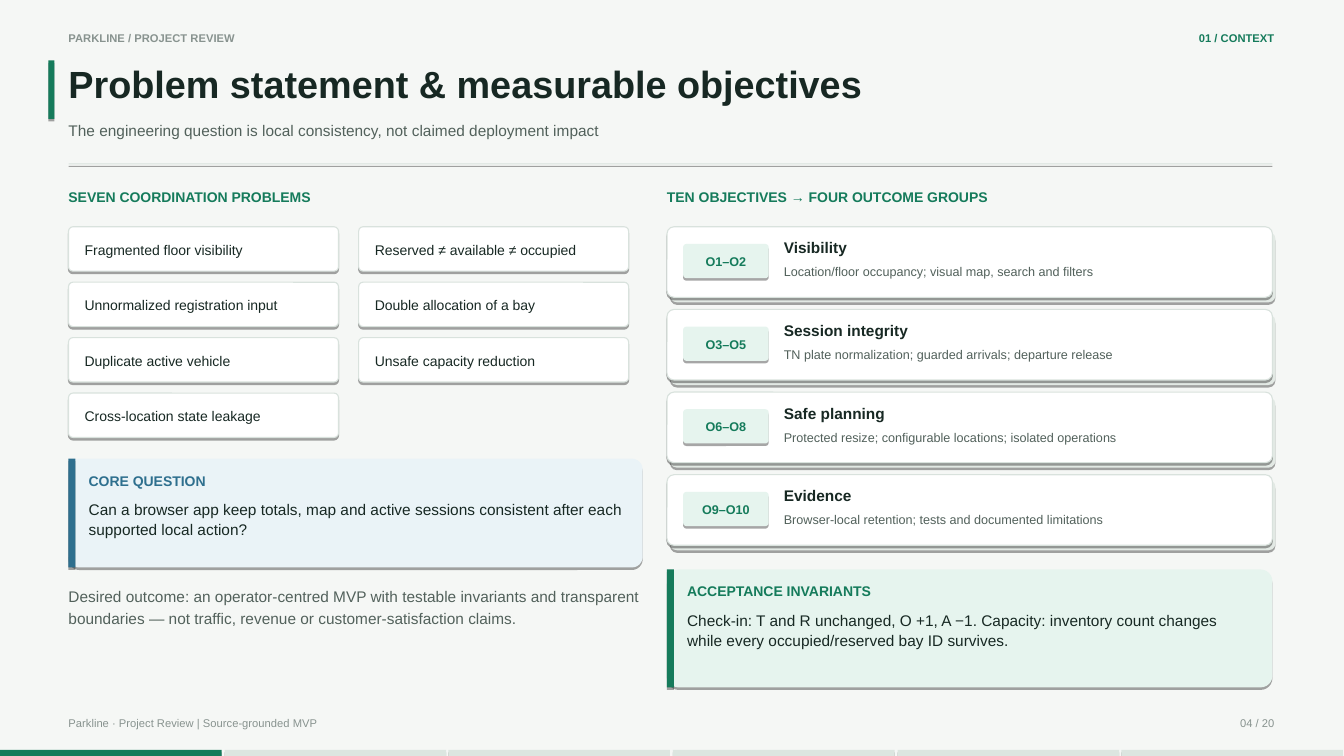
from lxml.etree import SubElement
from pptx import Presentation
from pptx.dml.color import RGBColor
from pptx.enum.shapes import MSO_SHAPE as SHAPE
from pptx.enum.text import MSO_ANCHOR as ANCHOR, PP_ALIGN as ALIGN
from pptx.oxml.ns import qn
from pptx.util import Pt

PX = 9144  # 100 px to the inch
W, H = 1334, 750
LEFT, RIGHT = 68, 662
GREEN, BLUE, INK, GREY, PALE = "157B5B", "2E6F8E", "172823", "52615B", "88938F"
MINT, SKY, WHITE, BORDER = "E6F4EE", "EAF3F7", "FFFFFF", "D9E2DD"
SEGMENT, UNDERLAY, BACKGROUND = "DCE6E0", "E2E9E4", "F5F7F5"

PROBLEMS = [
    "Fragmented floor visibility", "Reserved ≠ available ≠ occupied",
    "Unnormalized registration input", "Double allocation of a bay",
    "Duplicate active vehicle", "Unsafe capacity reduction",
    "Cross-location state leakage",
]
OBJECTIVES = [
    ("O1–O2", "Visibility", "Location/floor occupancy; visual map, search and filters"),
    ("O3–O5", "Session integrity", "TN plate normalization; guarded arrivals; departure release"),
    ("O6–O8", "Safe planning", "Protected resize; configurable locations; isolated operations"),
    ("O9–O10", "Evidence", "Browser-local retention; tests and documented limitations"),
]


def rgb(value):
    return RGBColor.from_string(value)


def emu(*box):
    return [v * PX for v in box]


def add_drop_shadow(sp):
    sp.shadow.inherit = False
    effects = sp._element.spPr.find(qn("a:effectLst"))
    shadow = SubElement(effects, qn("a:outerShdw"), blurRad="0",
                        dist=str(Pt(1.8)), dir="5400000", rotWithShape="0")
    color = SubElement(shadow, qn("a:srgbClr"), val="000000")
    SubElement(color, qn("a:alpha"), val="35000")


def add_panel(s, box, fill, line=None, rounded=False):
    kind = SHAPE.ROUNDED_RECTANGLE if rounded else SHAPE.RECTANGLE
    sp = s.shapes.add_shape(kind, *emu(*box))
    if rounded:
        sp.adjustments[0] = 0.1
    sp.fill.solid()
    sp.fill.fore_color.rgb = rgb(fill)
    if line:
        sp.line.color.rgb = rgb(line)
        sp.line.width = Pt(0.79)
    else:
        sp.line.fill.background()
    add_drop_shadow(sp)


def add_text(s, box, text, size, color, bold=False, align=ALIGN.LEFT,
             anchor=ANCHOR.TOP, spacing=1.08):
    tf = s.shapes.add_textbox(*emu(*box)).text_frame
    tf.word_wrap = True
    tf.vertical_anchor = anchor
    tf.margin_left = tf.margin_right = tf.margin_top = tf.margin_bottom = 0
    p = tf.paragraphs[0]
    p.text = text
    p.alignment = align
    p.line_spacing = spacing
    p.font.name = "Arial"
    p.font.size = Pt(size)
    p.font.bold = bold
    p.font.color.rgb = rgb(color)


def header(s, x, y, w):
    add_text(s, (x, y, 400, 20), "PARKLINE / PROJECT REVIEW", 8, PALE, True)
    add_text(s, (x + w - 323, y, 325, 20), "01 / CONTEXT", 8, GREEN, True, ALIGN.RIGHT)
    add_panel(s, (x - 20, y + 30, 6, 58), GREEN)
    add_text(s, (x, y + 27, w - 5, 62), "Problem statement & measurable objectives",
             27, INK, True)
    add_text(s, (x, y + 89, w - 5, 32),
             "The engineering question is local consistency, not claimed deployment impact",
             11, GREY)
    add_panel(s, (x, y + 132, w, 1), BORDER)


def footer(s, x, y, w):
    add_text(s, (x, y, 680, 20), "Parkline · Project Review | Source-grounded MVP", 8, PALE)
    add_text(s, (x + w - 138, y, 140, 20), "04 / 20", 8, PALE, align=ALIGN.RIGHT)


def progress_bar(s, x, y, w, h, steps=6, current=0, gap=2):
    pitch = (w + gap) / steps
    for i in range(steps):
        add_panel(s, (x + round(i * pitch), y, int(pitch) - gap, h),
                  GREEN if i == current else SEGMENT)


def problem_grid(s, x, y, w, h, columns=2, gap_x=20, gap_y=11):
    for i, problem in enumerate(PROBLEMS):
        row, col = divmod(i, columns)
        left, top = x + col * (w + gap_x), y + row * (h + gap_y)
        add_panel(s, (left, top, w, h), WHITE, BORDER, True)
        add_text(s, (left + 16, top, w - 32, h), problem, 10, INK, anchor=ANCHOR.MIDDLE)


def objective_card(s, x, y, w, h, code, title, detail):
    add_panel(s, (x + 3, y + 5, w, h), UNDERLAY, rounded=True)
    add_panel(s, (x, y, w, h), WHITE, BORDER, True)
    add_panel(s, (x + 16, y + 17, 85, 34), MINT, rounded=True)
    add_text(s, (x + 24, y + 17, 69, 34), code, 9, GREEN, True, ALIGN.CENTER, ANCHOR.MIDDLE)
    add_text(s, (x + 116, y + 10, 155, 28), title, 11, INK, True)
    add_text(s, (x + 116, y + 36, 455, 26), detail, 9, GREY)


def callout(s, x, y, w, h, title, body, accent, fill):
    add_panel(s, (x, y, w, h), fill, rounded=True)
    add_panel(s, (x, y, 7, h), accent)
    add_text(s, (x + 20, y + 12, w - 35, 25), title, 10, accent, True)
    add_text(s, (x + 20, y + 40, w - 35, h - 50), body, 11, INK)


def problem_column(s, x, y, w):
    add_text(s, (x, y, w, 30), "SEVEN COORDINATION PROBLEMS", 10, GREEN, True)
    problem_grid(s, x, y + 39, 268, 44)
    callout(s, x, y + 269, w, 108, "CORE QUESTION",
            "Can a browser app keep totals, map and active sessions consistent "
            "after each supported local action?", BLUE, SKY)
    add_text(s, (x, y + 394, w, 90),
             "Desired outcome: an operator-centred MVP with testable invariants and "
             "transparent boundaries — not traffic, revenue or customer-satisfaction claims.",
             11, GREY, spacing=1.16)


def objective_column(s, x, y, w):
    add_text(s, (x, y, w, 30), "TEN OBJECTIVES → FOUR OUTCOME GROUPS", 10, GREEN, True)
    for i, objective in enumerate(OBJECTIVES):
        objective_card(s, x, y + 39 + i * 82, w, 70, *objective)
    callout(s, x, y + 379, w, 117, "ACCEPTANCE INVARIANTS",
            "Check-in: T and R unchanged, O +1, A −1. Capacity: inventory count changes "
            "while every occupied/reserved bay ID survives.", GREEN, MINT)


def main():
    prs = Presentation()
    prs.slide_width, prs.slide_height = emu(W, H)
    s = prs.slides.add_slide(prs.slide_layouts[6])
    s.background.fill.solid()
    s.background.fill.fore_color.rgb = rgb(BACKGROUND)
    header(s, LEFT, 30, 1195)
    footer(s, LEFT, 710, 1195)
    progress_bar(s, 0, H - 6, W, 6)
    problem_column(s, LEFT, 186, 570)
    objective_column(s, RIGHT, 186, 601)
    prs.save("out.pptx")


if __name__ == "__main__":
    main()
